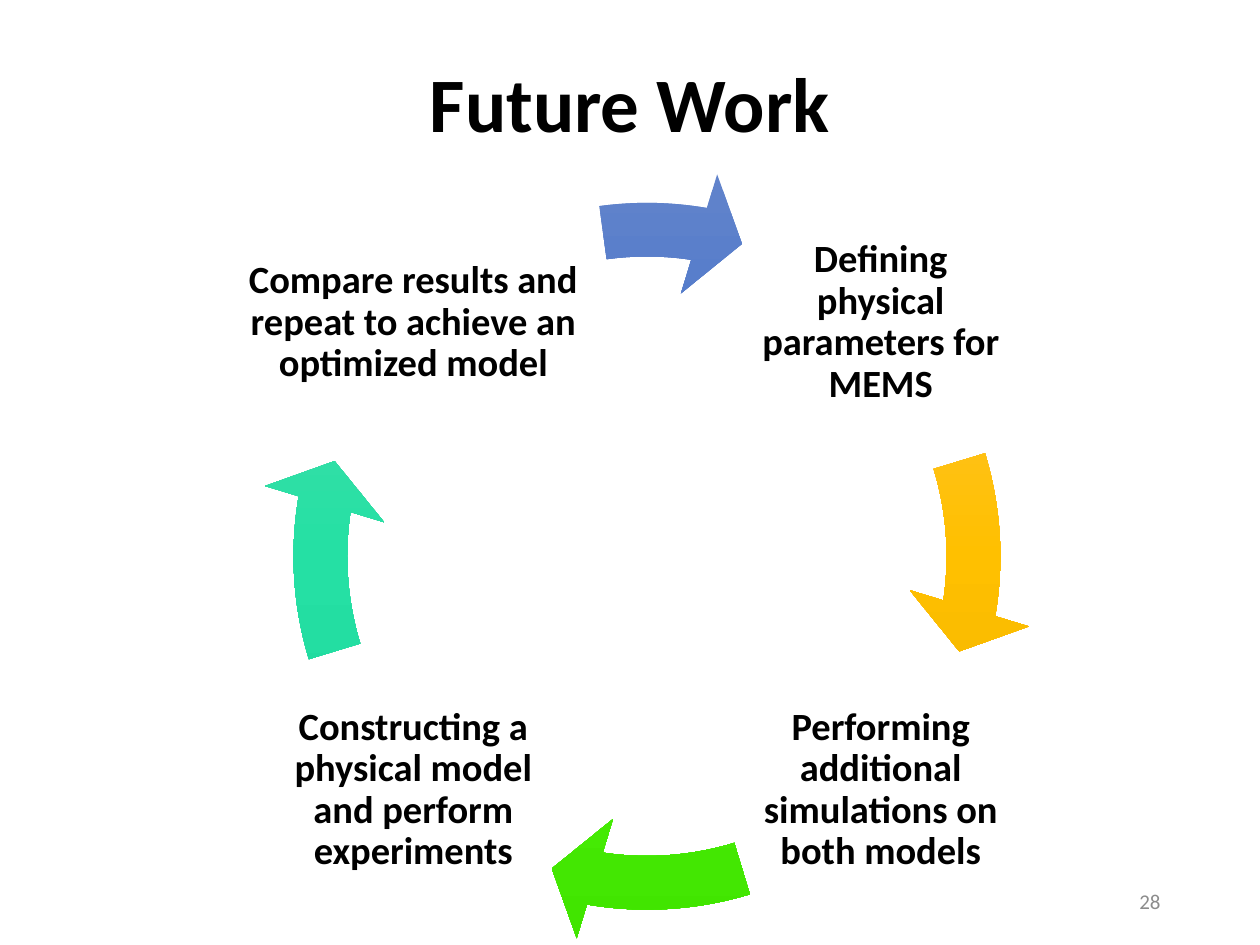
from copy import deepcopy

from pptx import Presentation
from pptx.dml.color import RGBColor
from pptx.enum.shapes import MSO_SHAPE as Shape
from pptx.enum.text import MSO_ANCHOR as Anchor, MSO_AUTO_SIZE as AutoSize, PP_ALIGN as Align
from pptx.util import Inches, Pt

COLUMNS, ROWS = 100, 75
RING_X, RING_Y, RING_SIZE = 51.35, 44.15, 61.7
LABEL_OFFSET, LABEL_SIZE = 18.55, 21.8
QUARTER_TURN = 54  # 90 degrees in adjustment units

# text, side of the ring (x, y), label width, arrow start, gradient colours
STEPS = [
    ("Defining physical parameters for MEMS", (1, -1), LABEL_SIZE,
     205.84, ("FFC64B", "FFC000", "E3AB00")),
    ("Performing additional simulations on both models", (1, 1), LABEL_SIZE,
     43.84, ("6BEF4D", "4FF50D", "41E500")),
    ("Constructing a physical model and perform experiments", (-1, 1), LABEL_SIZE,
     97.84, ("55DDAB", "25E0A4", "18D095")),
    ("Compare results and repeat to achieve an optimized model", (-1, -1), 30.1,
     157.36, ("6183CB", "3E70CA", "3062BB")),
]


def rgb(hex_code):
    return RGBColor.from_string(hex_code)


def write(frame, text, size, color="000000", bold=False, align=Align.CENTER,
          spacing=None, margin=None):
    """Fill a text frame with one formatted, vertically centred paragraph."""
    frame.word_wrap = True
    frame.auto_size = AutoSize.NONE
    frame.vertical_anchor = Anchor.MIDDLE
    if margin is not None:
        frame.margin_left = frame.margin_right = Inches(margin)
        frame.margin_top = frame.margin_bottom = Inches(margin)
    para = frame.paragraphs[0]
    para.alignment = align
    para.line_spacing = spacing
    span = para.add_run()
    span.text = text
    span.font.name = "Calibri"
    span.font.size = Pt(size)
    span.font.bold = bold
    span.font.color.rgb = rgb(color)


class CyclePage:
    """The current slide with its grid and text style."""

    def __init__(self, deck):
        self.column = deck.slide_width / COLUMNS
        self.row = deck.slide_height / ROWS
        self.page = deck.slides.add_slide(deck.slide_layouts[5])

    def area(self, left, top, width, height):
        """Turn grid columns and rows into slide lengths."""
        return (round(left * self.column), round(top * self.row),
                round(width * self.column), round(height * self.row))

    def centred(self, x, y, width, height):
        return self.area(x - width / 2, y - height / 2, width, height)

    def title(self, text):
        box = self.page.shapes.title
        box.left, box.top, box.width, box.height = self.area(6.9, 4, 86.2, 9)
        write(box.text_frame, text, 44, bold=True, spacing=0.9)

    def page_number(self, text):
        box = self.page.shapes.add_textbox(*self.area(70.6, 69.5, 22.5, 4))
        write(box.text_frame, text, 12, color="8C8C8C", align=Align.RIGHT)

    def label(self, text, side, width):
        x = RING_X + side[0] * LABEL_OFFSET
        y = RING_Y + side[1] * LABEL_OFFSET
        box = self.page.shapes.add_textbox(*self.centred(x, y, width, LABEL_SIZE))
        write(box.text_frame, text, 22, bold=True, spacing=0.9, margin=0.03)

    def arrow(self, start, end, colors):
        """Draw one arc of the ring with a three-stop vertical gradient."""
        arc = self.page.shapes.add_shape(
            Shape.CIRCULAR_ARROW, *self.centred(RING_X, RING_Y, RING_SIZE, RING_SIZE))
        arc.shadow.inherit = False
        arc.line.fill.background()
        for index, value in enumerate((0.069, 4.65, end, start, 0.08)):
            arc.adjustments[index] = value
        arc.fill.gradient()
        arc.fill.gradient_angle = 270
        first_stop = arc._element.spPr.xpath(".//a:gs")[0]
        first_stop.addnext(deepcopy(first_stop))
        for index, (stop, color) in enumerate(zip(arc.fill.gradient_stops, colors)):
            stop.position = index / 2
            stop.color.rgb = rgb(color)


def main():
    deck = Presentation()
    deck.slide_width, deck.slide_height = Inches(10), Inches(7.5)
    cycle = CyclePage(deck)
    cycle.title("Future Work")
    cycle.page_number("28")
    for index, (text, side, width, start, colors) in enumerate(STEPS):
        cycle.label(text, side, width)
        cycle.arrow(start, 5.51 + index * QUARTER_TURN, colors)
    deck.save("out.pptx")


if __name__ == "__main__":
    main()
